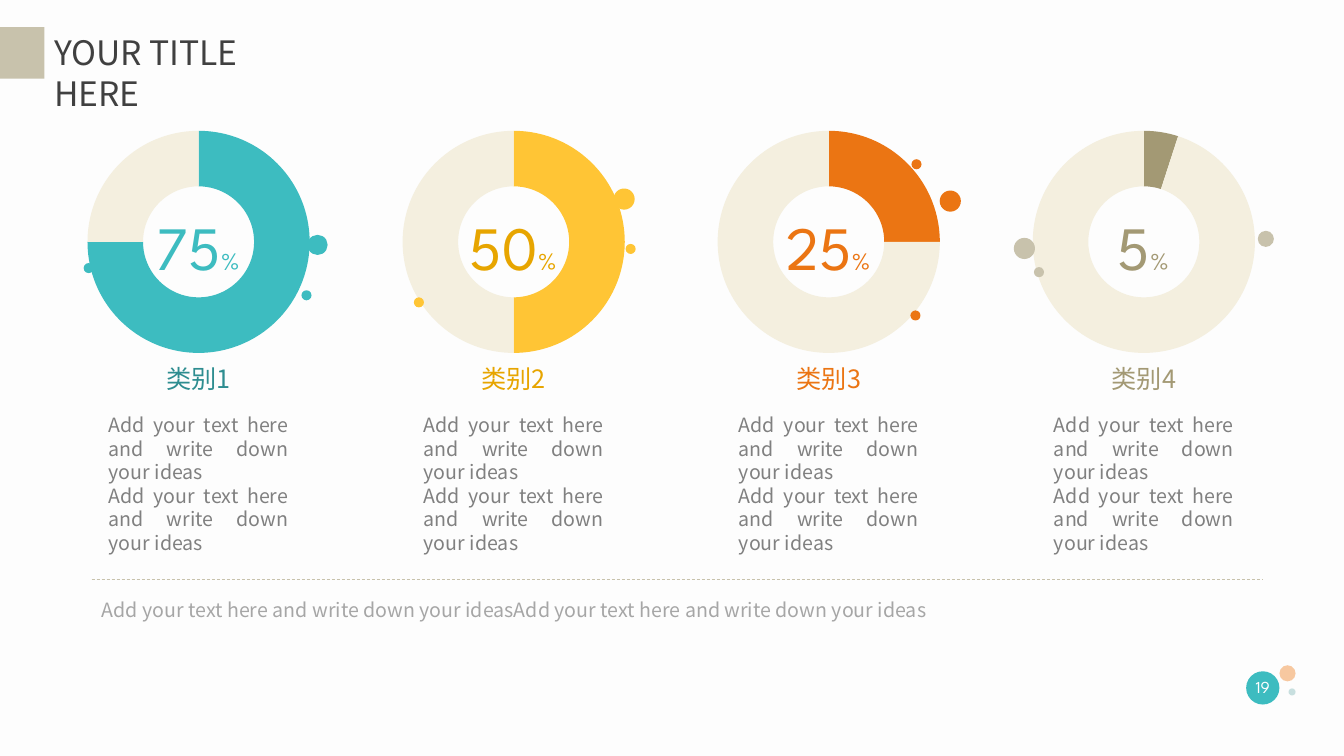
from pptx import Presentation
from pptx.chart.data import CategoryChartData
from pptx.dml.color import RGBColor
from pptx.enum.chart import XL_CHART_TYPE
from pptx.enum.dml import MSO_LINE
from pptx.enum.shapes import MSO_CONNECTOR, MSO_SHAPE
from pptx.enum.text import MSO_ANCHOR, PP_ALIGN
from pptx.oxml.ns import qn
from pptx.util import Inches, Pt
from lxml.etree import SubElement

SANS, SPARTAN = "Noto Sans CJK SC", "League Spartan"
IDEA = "Add your text here and write down your ideas"
STEP = 3.125

# share, ring colour, number colour, label colour, dots (offset x, y, size)
RINGS = [
    (75, "3DBCC0", "3DBCC0", "2E8D90", "3DBCC0",
     [(3.05, 2.33, 0.2), (2.99, 2.88, 0.1), (0.83, 2.61, 0.1)]),
    (50, "FFC535", "E7A500", "E7A500", "FFC535",
     [(2.96, 1.87, 0.21), (3.08, 2.42, 0.1), (0.98, 2.95, 0.1)]),
    (25, "EB7513", "EB7513", "EB7513", "EB7513",
     [(3.07, 1.89, 0.21), (2.79, 1.58, 0.1), (2.78, 3.08, 0.1)]),
    (5, "A39974", "A39974", "A39974", "C8C2AC",
     [(0.68, 2.36, 0.21), (3.1, 2.29, 0.16), (0.88, 2.65, 0.1)]),
]


def hue(code):
    return RGBColor.from_string(code)


def put(item, **values):
    for name, value in values.items():
        setattr(item, name, value)


def place(*box):
    return [Inches(n) for n in box]


def shape(slide, kind, box, fill):
    item = slide.shapes.add_shape(kind, *place(*box))
    item.shadow.inherit = False
    item.fill.solid()
    item.fill.fore_color.rgb = hue(fill)
    item.line.fill.background()


def text(slide, box, paras, font, color, align=PP_ALIGN.LEFT, **frame):
    """Each paragraph is a list of (words, size) runs."""
    body = slide.shapes.add_textbox(*place(*box)).text_frame
    put(body, word_wrap=True, **frame)
    for i, runs in enumerate(paras):
        para = body.paragraphs[0] if i == 0 else body.add_paragraph()
        para.alignment = align
        for words, size in runs:
            run = para.add_run()
            run.text = words
            put(run.font, name=font, size=Pt(size))
            run.font.color.rgb = hue(color)
            SubElement(run.font._element, qn("a:ea"), typeface=font)


def donut(slide, box, share, color):
    data = CategoryChartData()
    data.categories = ["1", "2"]
    data.add_series("Series 1", (share, 100 - share))
    chart = slide.shapes.add_chart(
        XL_CHART_TYPE.DOUGHNUT, *place(*box), data).chart
    put(chart, has_legend=False, has_title=False)
    put(chart.font, name="Calibri", size=Pt(10))
    chart.font.color.rgb = hue("000000")
    plot = chart.plots[0]
    put(plot, vary_by_categories=False, has_data_labels=False)
    for i, fill in enumerate((color, "F4EFDF")):
        look = plot.series[0].points[i].format
        look.fill.solid()
        look.fill.fore_color.rgb = hue(fill)
        look.line.fill.background()
    plot._element.find(qn("c:holeSize")).set("val", "85")


def column(slide, left, rank, ring):
    share, fill, number, label, dot, dots = ring
    donut(slide, (left + 0.16, 1.16, 3.62, 2.48), share, fill)
    text(slide, (left + 1.11, 2.02, 1.71, 0.84),
         [[(str(share), 44), ("%", 18)]], SPARTAN, number, PP_ALIGN.CENTER)
    text(slide, (left + 0.91, 3.56, 2.12, 0.49),
         [[(f"类别{rank}", 18)]], SANS, label, PP_ALIGN.CENTER)
    text(slide, (left + 0.98, 4.05, 1.98, 1.51),
         [[(IDEA, 14)]] * 2, SANS, "808080", PP_ALIGN.JUSTIFY)
    for x, y, size in dots:
        shape(slide, MSO_SHAPE.OVAL, (left + x, y, size, size), dot)


def header(slide):
    shape(slide, MSO_SHAPE.RECTANGLE, (0, 0.27, 0.44, 0.51), "C8C2AC")
    text(slide, (0.44, 0.27, 2.84, 0.5),
         [[("YOUR TITLE HERE", 24)]], SANS, "404040")


def footer(slide):
    # Dashed rule and closing sentence
    rule = slide.shapes.add_connector(
        MSO_CONNECTOR.STRAIGHT, *place(0.91, 5.75, 12.53, 5.75))
    put(rule.line, width=Pt(0.5), dash_style=MSO_LINE.DASH)
    rule.line.color.rgb = hue("C8C2AC")
    SubElement(rule._element.spPr, qn("a:effectLst"))
    text(slide, (0.91, 5.88, 11.61, 0.34),
         [[(IDEA * 2, 14)]], SANS, "A6A6A6")
    # Page number badge
    for x, y, size, fill in [(12.36, 6.66, 0.33, "3DBCC0"),
                             (12.69, 6.6, 0.16, "F7C8A0"),
                             (12.78, 6.83, 0.07, "C8DFDF")]:
        shape(slide, MSO_SHAPE.OVAL, (x, y, size, size), fill)
    text(slide, (12.29, 6.61, 0.47, 0.4), [[("19", 12)]], SPARTAN, "FFFFFF",
         PP_ALIGN.CENTER, vertical_anchor=MSO_ANCHOR.MIDDLE)


def main():
    deck = Presentation()
    put(deck, slide_width=Inches(13.33), slide_height=Inches(7.5))
    slide = deck.slides.add_slide(deck.slide_layouts[6])
    slide.background.fill.solid()
    slide.background.fill.fore_color.rgb = hue("FDFDFD")
    for i, ring in enumerate(RINGS):
        column(slide, i * STEP, i + 1, ring)
    header(slide)
    footer(slide)
    deck.save("out.pptx")


if __name__ == "__main__":
    main()
